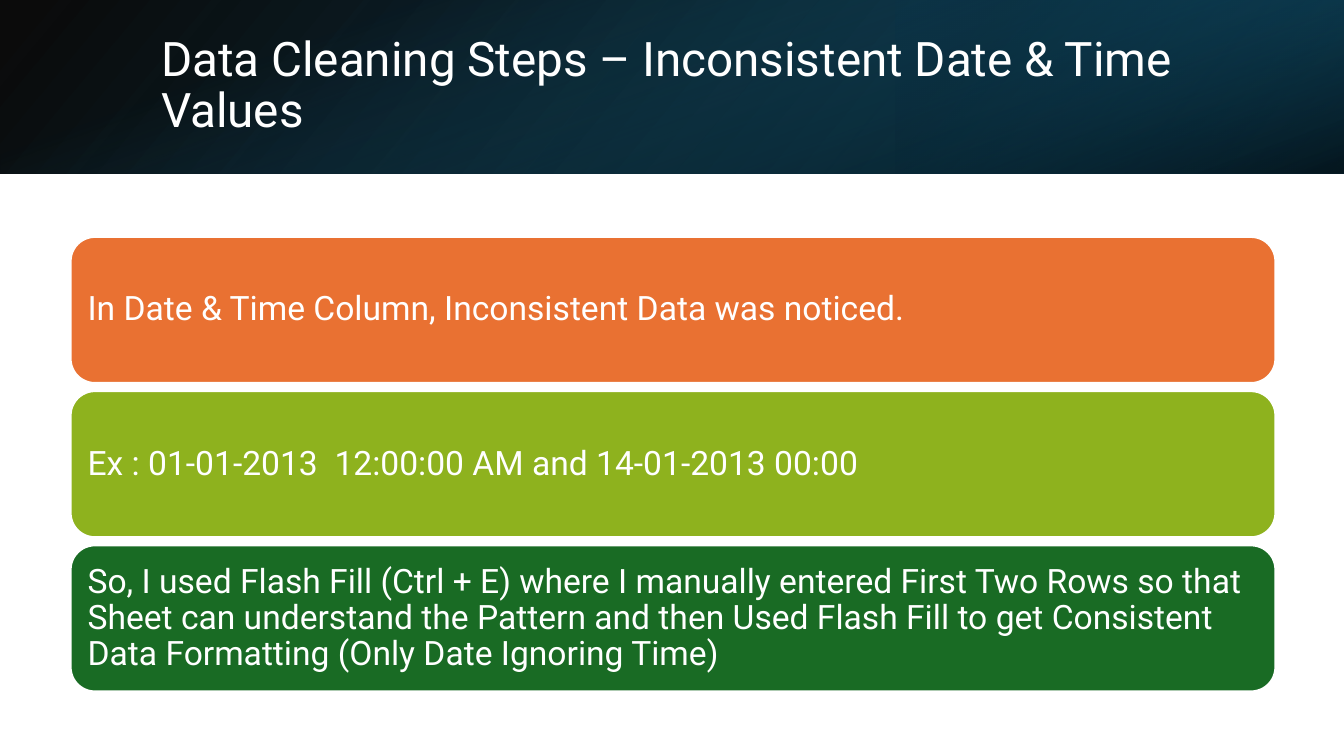
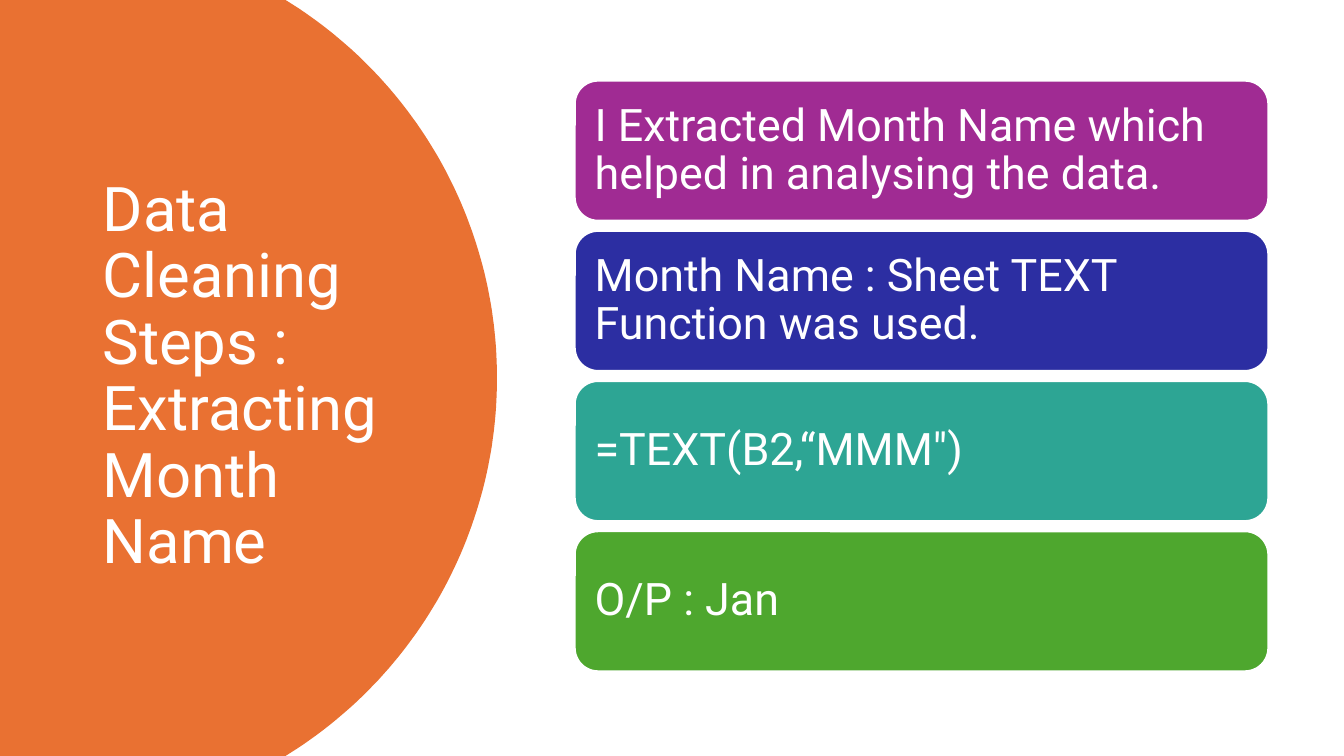
import math
from lxml import etree
from pptx import Presentation
from pptx.dml.color import RGBColor
from pptx.enum import shapes, text
from pptx.oxml import ns
from pptx.util import Inches, Pt

FONT = "Roboto"
WHITE = "FFFFFF"
ORANGE = "E97132"
WIDE, HIGH = 13.33, 7.5
BAND = 1.72


def color(code):
    return RGBColor.from_string(code)


def write(shape, words, size, inset=None):
    frame = shape.text_frame
    frame.word_wrap = True
    frame.vertical_anchor = text.MSO_ANCHOR.MIDDLE
    if inset is not None:
        frame.margin_left = frame.margin_right = Inches(inset)
        frame.margin_top = frame.margin_bottom = Inches(inset)
    para = frame.paragraphs[0]
    para.alignment = text.PP_ALIGN.LEFT
    para.line_spacing = 0.9
    run = para.add_run()
    run.text = words
    run.font.name = FONT
    run.font.size = Pt(size)
    run.font.color.rgb = color(WHITE)


def title(slide, words, box, size):
    write(slide.shapes.add_textbox(*map(Inches, box)), words, size)


def plain(shape, fill=None, line=None):
    shape.shadow.inherit = False
    if fill:
        shape.fill.solid()
        shape.fill.fore_color.rgb = color(fill)
    if line:
        shape.line.color.rgb = color(line)
        shape.line.width = Pt(1.5)
    else:
        shape.line.fill.background()


def cards(slide, items, left, top, width, height, pitch, size, inset):
    for row, (fill, words) in enumerate(items):
        box = (left, top + row * pitch, width, height)
        card = slide.shapes.add_shape(
            shapes.MSO_SHAPE.ROUNDED_RECTANGLE, *map(Inches, box))
        plain(card, fill, WHITE)
        write(card, words, size, inset)


def shade(slide, box, stops, angle, turn=0, flip=False):
    rect = slide.shapes.add_shape(
        shapes.MSO_SHAPE.RECTANGLE, *map(Inches, box))
    plain(rect)
    rect.rotation = turn
    props = rect.element.spPr
    if flip:
        props.xfrm.set("flipH", "1")
    grad = etree.Element(ns.qn("a:gradFill"))
    group = etree.SubElement(grad, ns.qn("a:gsLst"))
    for pos, code, alpha in stops:
        stop = etree.SubElement(group, ns.qn("a:gs"), pos=str(pos * 1000))
        tone = etree.SubElement(stop, ns.qn("a:srgbClr"), val=code)
        etree.SubElement(tone, ns.qn("a:alpha"), val=str(alpha * 1000))
    etree.SubElement(grad, ns.qn("a:lin"), ang=str(angle * 60000), scaled="0")
    props.find(ns.qn("a:prstGeom")).addnext(grad)


def band(slide):
    shade(slide, (0, 0, WIDE, BAND),
          [(0, "000000", 96), (100, "104862", 100)], 140, flip=True)
    shade(slide, (WIDE * 2 / 3, 0, WIDE / 3, BAND),
          [(19, "0B3041", 68), (100, "156082", 79)], 320, 180, True)
    shade(slide, ((WIDE - BAND) / 2, (BAND - WIDE) / 2, BAND, WIDE),
          [(23, "156082", 0), (99, "000000", 74)], 340, 90)


def dome(slide, mid, radius, steps=120):
    half = HIGH / 2
    reach = math.asin(half / radius)
    turns = [reach * (2 * i / steps - 1) for i in range(steps + 1)]
    arc = [(mid + radius * math.cos(t), half + radius * math.sin(t))
           for t in turns]
    outline = slide.shapes.build_freeform(0, 0, scale=Inches(1) / 1000)
    outline.add_line_segments(
        [(x * 1000, y * 1000) for x, y in arc + [(0, HIGH)]], close=True)
    plain(outline.convert_to_shape(), ORANGE)


def dates(slide):
    band(slide)
    title(slide, "Data Cleaning Steps – Inconsistent Date & Time Values",
          (1.5, 0.38, 10.98, 0.96), 34)
    cards(slide, [
        (ORANGE, "In Date & Time Column, Inconsistent Data was noticed."),
        ("8EB21E", "Ex : 01-01-2013  12:00:00 AM and 14-01-2013 00:00"),
        ("196B24", "So, I used Flash Fill (Ctrl + E) where I manually entered "
         "First Two Rows so that Sheet can understand the Pattern and then "
         "Used Flash Fill to get Consistent Data Formatting "
         "(Only Date Ignoring Time)"),
    ], 0.7, 2.35, 11.95, 1.45, 1.53, 24, 0.1)


def months(slide):
    dome(slide, 0.53, 4.4)
    title(slide, "Data Cleaning Steps : Extracting Month Name",
          (0.92, 0.7, 3.23, 6.09), 44)
    cards(slide, [
        ("A02B93", "I Extracted Month Name which helped in analysing the data."),
        ("2C2EA2", "Month Name : Sheet TEXT Function was used."),
        ("2DA594", '=TEXT(B2,“MMM")'),
        ("4EA72E", "O/P : Jan"),
    ], 5.7, 0.8, 6.88, 1.39, 1.49, 32, 0.13)


def main():
    deck = Presentation()
    deck.slide_width, deck.slide_height = Inches(WIDE), Inches(HIGH)
    for build in (dates, months):
        build(deck.slides.add_slide(deck.slide_layouts[6]))
    deck.save("out.pptx")


if __name__ == "__main__":
    main()
